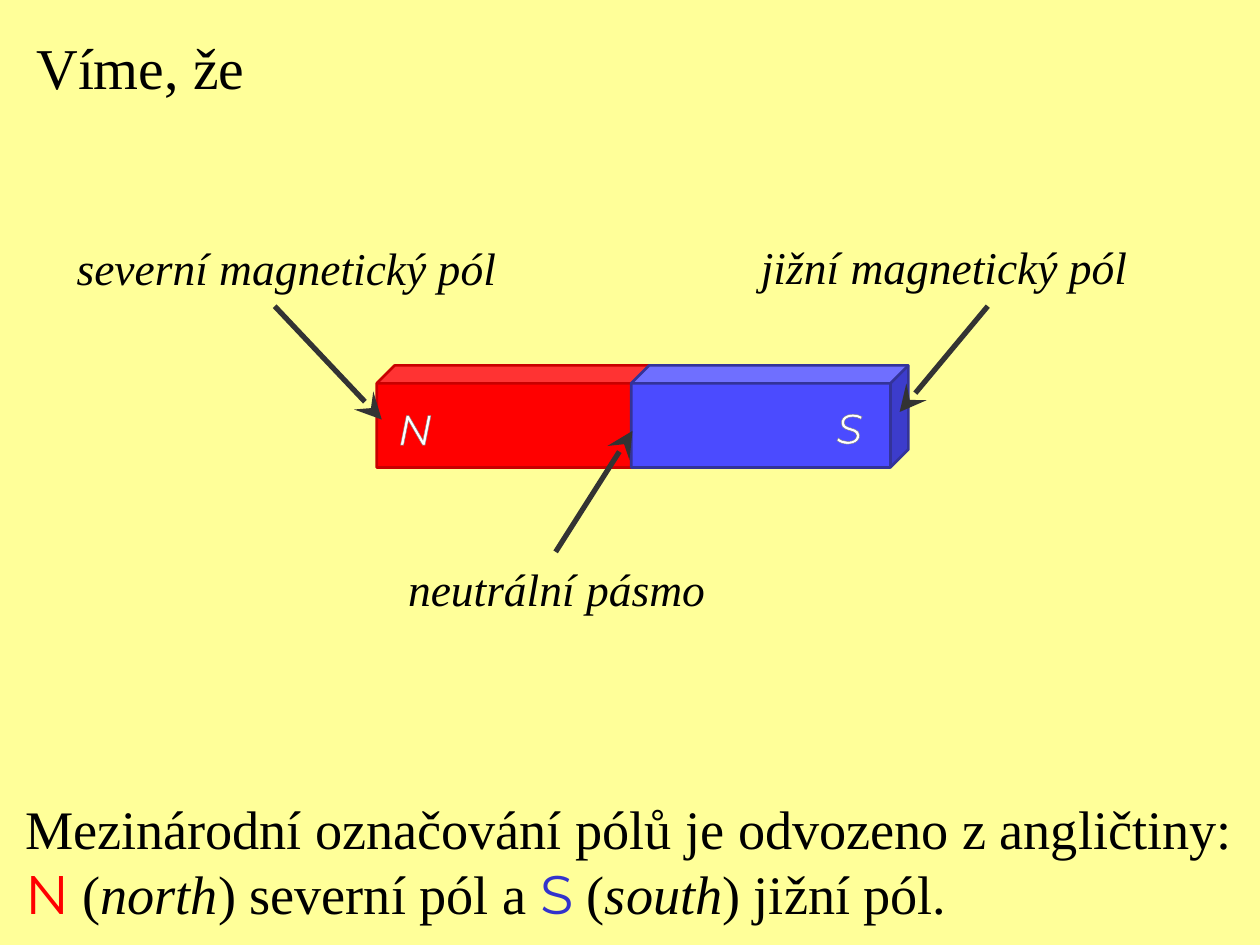
from pptx import Presentation
from pptx import util as u
from pptx.dml.color import RGBColor
from pptx.enum import shapes, text
from pptx.oxml import parse_xml
from pptx.oxml.ns import nsdecls, qn

THEME = {
    "bg": "FFFF99", "ink": "000000", "arrow": "333333", "letter": "FFFFFF",
    "outline": "808080", "north": "FF0000", "north_edge": "C80000",
    "south": "4B4BFF", "south_edge": "333399", "south_text": "3333CC",
    "serif": "Times New Roman", "sans": "Montserrat",
    "title": 33, "note": 31, "label": 26, "pole": 24,
}
COLS, ROWS = 100, 75

TITLE = ("Víme, že", (1.9, 2, 18.6, 6.5))
LABELS = [
    ("severní magnetický pól", (5.1, 18.6, 35.3, 5.4)),
    ("jižní magnetický pól", (59.4, 18.5, 31.1, 5.4)),
    ("neutrální pásmo", (31.4, 44, 25.6, 5.4)),
]
MAGNET = {"left": 29.9, "top": 29, "width": 22, "height": 8.1, "step": 20.2, "depth": 0.176}
HALVES = [("north", "north_edge"), ("south", "south_edge")]
ARROWS = [
    ((44.1, 43.8), (50.2, 34.2)),
    ((21.8, 24.3), (30.3, 33.3)),
    ((78.4, 24.3), (71.4, 32.7)),
]
POLES = [("N", (30.6, 31.5, 4.3, 4.5), 1.25), ("S", (65.4, 31.4, 4.3, 4.5), 1.5)]
NORTH = {"font": "sans", "color": "north"}
SOUTH = {"font": "sans", "color": "south_text"}
ITALIC = {"italic": True}
NOTE = [
    [("Mezinárodní označování pólů je odvozeno z angličtiny:", {})],
    [("N", NORTH), (" (", {}), ("north", ITALIC), (") severní pól a ", {}),
     ("S", SOUTH), (" (", {}), ("south", ITALIC), (") jižní pól.", {})],
]
NOTE_BOX = (1, 62.6, 97.8, 11.4)

prs = Presentation()
prs.slide_width, prs.slide_height = u.Inches(10), u.Inches(7.5)
s = prs.slides.add_slide(prs.slide_layouts[6])


def rgb(name):
    return RGBColor.from_string(THEME[name])


def x(col):
    return round(prs.slide_width * col / COLS)


def y(row):
    return round(prs.slide_height * row / ROWS)


def place(box):
    left, top, width, height = box
    return x(left), y(top), x(width), y(height)


def add_run(p, content, size, font="serif", color="ink", italic=False, outline=None):
    r = p.add_run()
    r.text = content
    r.font.size = u.Pt(THEME[size])
    r.font.name = THEME[font]
    r.font.italic = italic
    r.font.color.rgb = rgb(color)
    if outline:
        r.font._element.insert(0, parse_xml(
            f'<a:ln {nsdecls("a")} w="{u.Pt(outline)}"><a:solidFill>'
            f'<a:srgbClr val="{THEME["outline"]}"/></a:solidFill></a:ln>'))


def add_text(content, box, size, **fmt):
    tf = s.shapes.add_textbox(*place(box)).text_frame
    tf.word_wrap = False
    tf.auto_size = text.MSO_AUTO_SIZE.NONE
    lines = [[(content, {})]] if isinstance(content, str) else content
    for i, line in enumerate(lines):
        p = tf.add_paragraph() if i else tf.paragraphs[0]
        for words, extra in line:
            add_run(p, words, size, **{**fmt, **extra})


def add_magnet():
    group = s.shapes.add_group_shape()
    for i, (fill, edge) in enumerate(HALVES):
        left = MAGNET["left"] + i * MAGNET["step"]
        box = (left, MAGNET["top"], MAGNET["width"], MAGNET["height"])
        sp = group.shapes.add_shape(shapes.MSO_SHAPE.CUBE, *place(box))
        sp.adjustments[0] = MAGNET["depth"]
        sp.shadow.inherit = False
        sp.fill.solid()
        sp.fill.fore_color.rgb = rgb(fill)
        sp.line.color.rgb = rgb(edge)
        sp.line.width = u.Pt(1.5)


def add_arrow(start, end):
    line = s.shapes.add_connector(
        shapes.MSO_CONNECTOR.STRAIGHT, x(start[0]), y(start[1]), x(end[0]), y(end[1]))
    line.line.color.rgb = rgb("arrow")
    line.line.width = u.Pt(3)
    props = line._element.spPr
    props.find(qn("a:ln")).append(parse_xml(
        f'<a:tailEnd {nsdecls("a")} type="stealth" w="lg" len="lg"/>'))
    props.append(parse_xml(f'<a:effectLst {nsdecls("a")}/>'))


def main():
    s.background.fill.solid()
    s.background.fill.fore_color.rgb = rgb("bg")
    add_text(*TITLE, "title")
    add_magnet()
    for label, box in LABELS:
        add_text(label, box, "label", italic=True)
    for start, end in ARROWS:
        add_arrow(start, end)
    add_text(NOTE, NOTE_BOX, "note")
    for letter, box, outline in POLES:
        add_text(letter, box, "pole", font="sans", color="letter", italic=True, outline=outline)
    prs.save("out.pptx")


if __name__ == "__main__":
    main()
